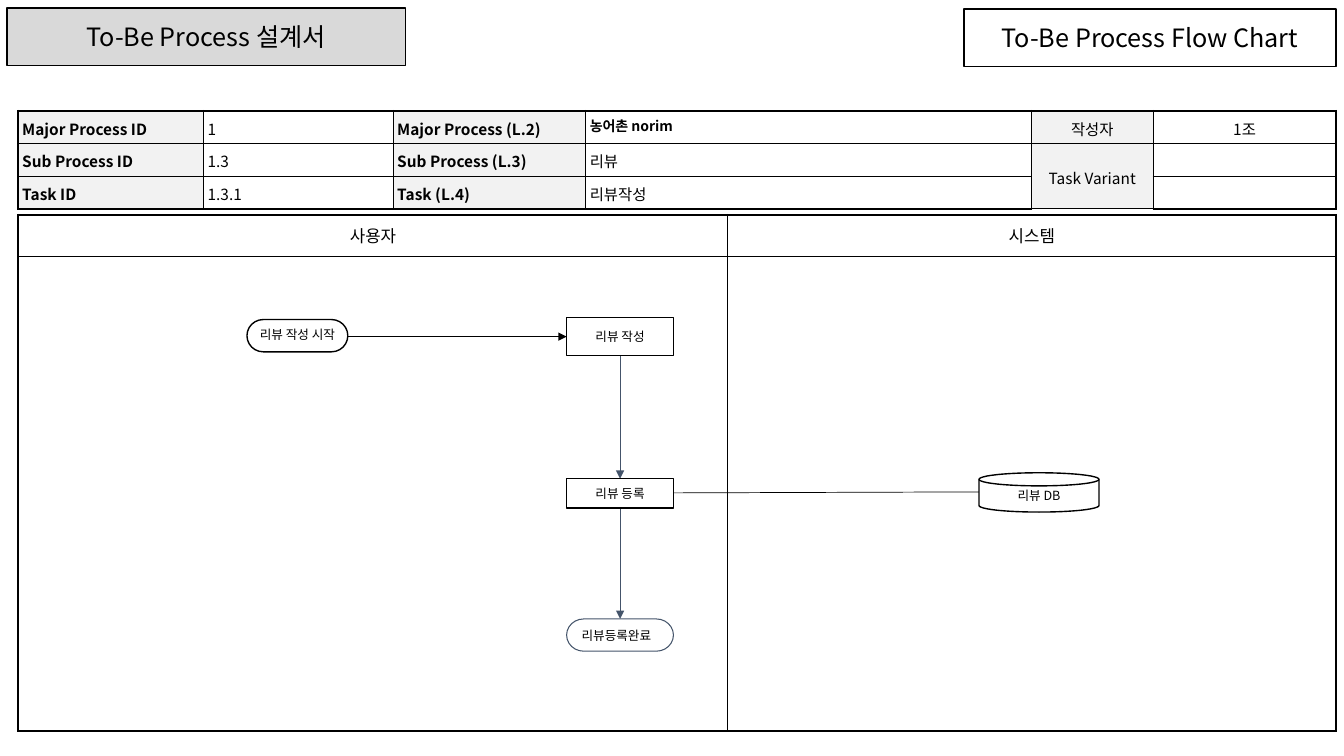
from lxml.etree import SubElement
from pptx import Presentation
from pptx.dml.color import RGBColor
from pptx.enum.shapes import MSO_CONNECTOR as Link, MSO_SHAPE as Kind
from pptx.enum.text import MSO_ANCHOR as Anchor, MSO_AUTO_SIZE as Fit, PP_ALIGN as Align
from pptx.oxml.ns import qn
from pptx.util import Inches, Pt

FONT = "Noto Sans CJK KR"
BLACK = RGBColor(0, 0, 0)
WHITE = RGBColor(255, 255, 255)
GREY = RGBColor(0xD9, 0xD9, 0xD9)
PALE = RGBColor(0xF2, 0xF2, 0xF2)
SLATE = RGBColor(0x44, 0x54, 0x6A)


class Chart:
    """Style and current slide of the process flow chart."""

    def __init__(self, slide):
        self.slide = slide
        self.shapes = slide.shapes

    def label(self, frame, text, size, align=Align.CENTER, bold=False, lead=None):
        para = frame.paragraphs[0]
        para.alignment = align
        if lead:
            para.line_spacing = lead
        if not text:
            SubElement(para._p, qn("a:endParaRPr"), sz=str(size * 100))
            return
        run = para.add_run()
        run.text = text
        font = run.font
        font.size, font.bold, font.name = Pt(size), bold, FONT
        font.color.rgb = BLACK
        SubElement(run._r.get_or_add_rPr(), qn("a:ea"), typeface=FONT)

    def paint(self, shape, fill, line, width):
        if fill is None:
            shape.fill.background()
        else:
            shape.fill.solid()
            shape.fill.fore_color.rgb = fill
        shape.line.color.rgb = line
        shape.line.width = Pt(width)

    def fit(self, shape, text, size, pad, align=Align.CENTER, lead=None):
        """Set the text of a shape, with pad as its side and top insets."""
        frame = shape.text_frame
        frame.word_wrap, frame.auto_size = True, Fit.NONE
        frame.vertical_anchor = Anchor.MIDDLE
        frame.margin_left = frame.margin_right = Inches(pad[0])
        frame.margin_top = frame.margin_bottom = Inches(pad[1])
        self.label(frame, text, size, align, lead=lead)

    def title(self, box, text):
        shape = self.shapes.title
        shape.left, shape.top, shape.width, shape.height = map(Inches, box)
        self.paint(shape, GREY, BLACK, 1)
        self.fit(shape, text, 18, (0.1, 0.05))

    def node(self, kind, box, text, fill=WHITE, line=BLACK, width=1,
             size=9, pad=(0.02, 0), **form):
        shape = self.shapes.add_shape(kind, *map(Inches, box))
        shape.shadow.inherit = False
        self.paint(shape, fill, line, width)
        self.fit(shape, text, size, pad, **form)

    def link(self, ends, color=BLACK, width=0.75, arrow=True):
        line = self.shapes.add_connector(Link.STRAIGHT, *map(Inches, ends))
        line.line.color.rgb = color
        line.line.width = Pt(width)
        if arrow:
            SubElement(line.line._get_or_add_ln(), qn("a:tailEnd"), type="triangle")
        SubElement(line._element.spPr, qn("a:effectLst"))

    def border(self, cell, widths):
        """Draw the left, right, top and bottom edges of a cell."""
        props = cell._tc.get_or_add_tcPr()
        for side, width in zip("LRTB", widths):
            edge = SubElement(props, qn("a:ln" + side), w=str(int(Pt(width))))
            fill = SubElement(edge, qn("a:solidFill"))
            SubElement(fill, qn("a:srgbClr"), val=str(BLACK))

    def table(self, spot, cols, rows, inner, data, style):
        """Add a table with a 1.5 pt frame; style fills in each cell."""
        size = sum(cols), sum(rows)
        table = self.shapes.add_table(
            len(rows), len(cols), *map(Inches, (*spot, *size))).table
        table.first_row = table.horz_banding = False
        for col, width in zip(table.columns, cols):
            col.width = Inches(width)
        for row, height in zip(table.rows, rows):
            row.height = Inches(height)
        for r, line in enumerate(data):
            for c, text in enumerate(line):
                cell = table.cell(r, c)
                outer = c == 0, c == len(cols) - 1, r == 0, r == len(rows) - 1
                self.border(cell, [1.5 if edge else inner for edge in outer])
                cell.fill.background()
                style(cell, r, c, text)
        return table

    def lane(self, cell, r, c, text):
        cell.vertical_anchor = Anchor.MIDDLE
        self.label(cell.text_frame, text, 12)

    def field(self, cell, r, c, text):
        cell.margin_left = cell.margin_right = Inches(0.04)
        cell.margin_top = cell.margin_bottom = Inches(0.04)
        head, side, name = c in (0, 2, 4), c > 3, (r, c) == (0, 3)
        if head:
            cell.fill.solid()
            cell.fill.fore_color.rgb = PALE
        cell.vertical_anchor = Anchor.MIDDLE if side else Anchor.TOP
        self.label(cell.text_frame, text, 10 if name else 11,
                   Align.CENTER if side else Align.LEFT,
                   bold=name or head and not side, lead=None if name else 1.1)


def main():
    deck = Presentation()
    deck.slide_width, deck.slide_height = Inches(13.33), Inches(7.5)
    chart = Chart(deck.slides.add_slide(deck.slide_layouts[5]))

    chart.title((0.07, 0.08, 3.95, 0.57), "To-Be Process 설계서")
    chart.node(Kind.RECTANGLE, (9.56, 0.09, 3.69, 0.57), "To-Be Process Flow Chart",
               fill=None, size=18, pad=(0.1, 0.05))

    chart.table((0.18, 2.13), (7.04, 6.03), (0.41, 4.71), 0.75,
                [("사용자", "시스템"), ("", "")], chart.lane)
    head = chart.table(
        (0.18, 1.1), (1.84, 1.88, 1.91, 4.42, 1.21, 1.81), (0.31,) * 3, 1,
        [("Major Process ID", "1", "Major Process (L.2)", "농어촌 norim", "작성자", "1조"),
         ("Sub Process ID", "1.3", "Sub Process (L.3)", "리뷰", "Task Variant", ""),
         ("Task ID", "1.3.1", "Task (L.4)", "리뷰작성", "", "")], chart.field)
    head.cell(1, 4).merge(head.cell(2, 4))

    left, mid, right = 5.62, 6.15, 6.68
    wide = right - left
    chart.link((3.45, 3.34, left, 3.34))
    chart.link((mid, 3.52, mid, 4.75), SLATE)
    chart.link((mid, 5.04, mid, 6.14), SLATE)
    chart.link((right, 4.89, 9.71, 4.88), width=0.5, arrow=False)

    chart.node(Kind.FLOWCHART_TERMINATOR, (2.45, 3.17, 1, 0.32), "리뷰 작성 시작", lead=0.9)
    chart.node(Kind.RECTANGLE, (left, 3.15, wide, 0.38), "리뷰 작성",
               width=0.75, pad=(0.1, 0.1))
    chart.node(Kind.RECTANGLE, (left, 4.75, wide, 0.29), "리뷰 등록")
    chart.node(Kind.FLOWCHART_MAGNETIC_DISK, (9.71, 4.69, 1.19, 0.39), "리뷰 DB",
               pad=(0.04, 0))
    chart.node(Kind.FLOWCHART_TERMINATOR, (left, 6.14, wide, 0.32), "리뷰등록완료",
               line=SLATE, width=0.75, pad=(0.1, 0.1), align=Align.LEFT)
    deck.save("out.pptx")


if __name__ == "__main__":
    main()
